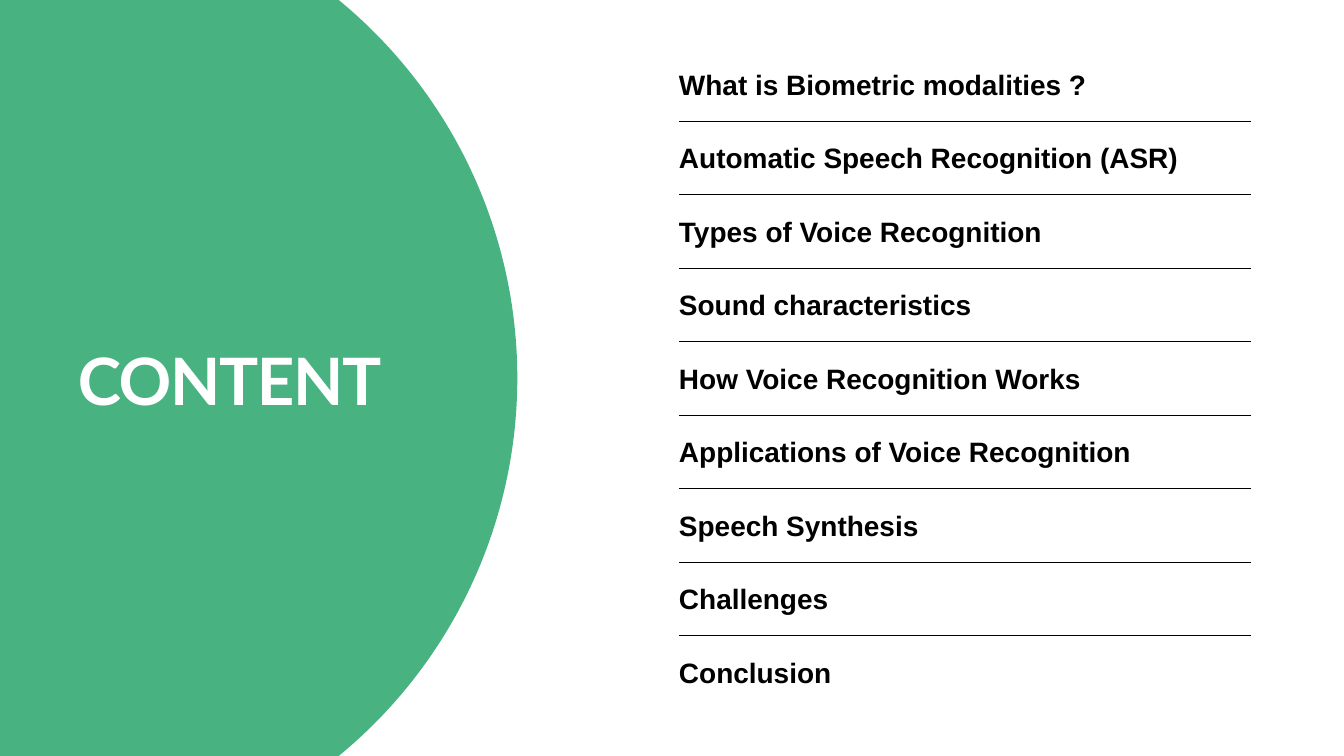
from lxml import etree
from pptx import Presentation
from pptx import util as u
from pptx.dml.color import RGBColor
from pptx.enum import shapes, text
from pptx.oxml import ns

PX = u.Inches(1) // 96
GREEN = RGBColor(0x48, 0xB2, 0x81)
WHITE = RGBColor(0xFF, 0xFF, 0xFF)
BLACK = RGBColor(0x00, 0x00, 0x00)

TOPICS = [
    "What is Biometric modalities ?",
    "Automatic Speech Recognition (ASR)",
    "Types of Voice Recognition",
    "Sound characteristics",
    "How Voice Recognition Works",
    "Applications of Voice Recognition",
    "Speech Synthesis",
    "Challenges",
    "Conclusion",
]
LIST_LEFT = 970
LIST_TOP = 92
ROW_PITCH = 105
RULE_OFFSET = 81
RULE_RIGHT = 1787


def px(*lengths):
    return [length * PX for length in lengths]


def add_circle(page, left, top, diameter, color):
    circle = page.shapes.add_shape(
        shapes.MSO_SHAPE.OVAL, *px(left, top, diameter, diameter))
    circle.shadow.inherit = False
    circle.fill.solid()
    circle.fill.fore_color.rgb = color
    circle.line.fill.background()


def add_label(page, wording, bounds, font, size, leading, color,
              align=text.PP_ALIGN.LEFT, tracking=0):
    box = page.shapes.add_textbox(*px(*bounds))
    frame = box.text_frame
    frame.margin_left = frame.margin_right = 0
    frame.margin_top = frame.margin_bottom = 0
    frame.word_wrap = True
    frame.auto_size = text.MSO_AUTO_SIZE.SHAPE_TO_FIT_TEXT
    frame.text = wording
    para = frame.paragraphs[0]
    para.alignment = align
    para.line_spacing = u.Pt(leading)
    span = para.runs[0]
    span.font.name = font
    span.font.size = u.Pt(size)
    span.font.bold = True
    span.font.color.rgb = color
    if tracking:
        span._r.get_or_add_rPr().set("spc", str(tracking))


def add_rule(page, left, right, y):
    rule = page.shapes.add_connector(
        shapes.MSO_CONNECTOR.STRAIGHT, *px(left, y, right, y))
    rule.line.color.rgb = BLACK
    rule.line.width = u.Pt(0.75)
    etree.SubElement(rule._element.spPr, ns.qn("a:effectLst"))


def add_topics(page):
    for row, topic in enumerate(TOPICS):
        top = LIST_TOP + row * ROW_PITCH
        add_label(page, topic, (LIST_LEFT, top, 843, 52),
                  "Arial", 30, 39, BLACK)
        if row < len(TOPICS) - 1:
            add_rule(page, LIST_LEFT, RULE_RIGHT, top + RULE_OFFSET)


def main():
    deck = Presentation()
    deck.slide_width, deck.slide_height = px(1920, 1080)
    page = deck.slides.add_slide(deck.slide_layouts[6])
    page.background.fill.solid()
    page.background.fill.fore_color.rgb = WHITE
    add_circle(page, -659, -159, 1398, GREEN)
    add_label(page, "CONTENT", (70, 486, 516, 110), "Lato", 70, 84, WHITE,
              text.PP_ALIGN.CENTER, -140)
    add_topics(page)
    deck.save("out.pptx")


if __name__ == "__main__":
    main()
